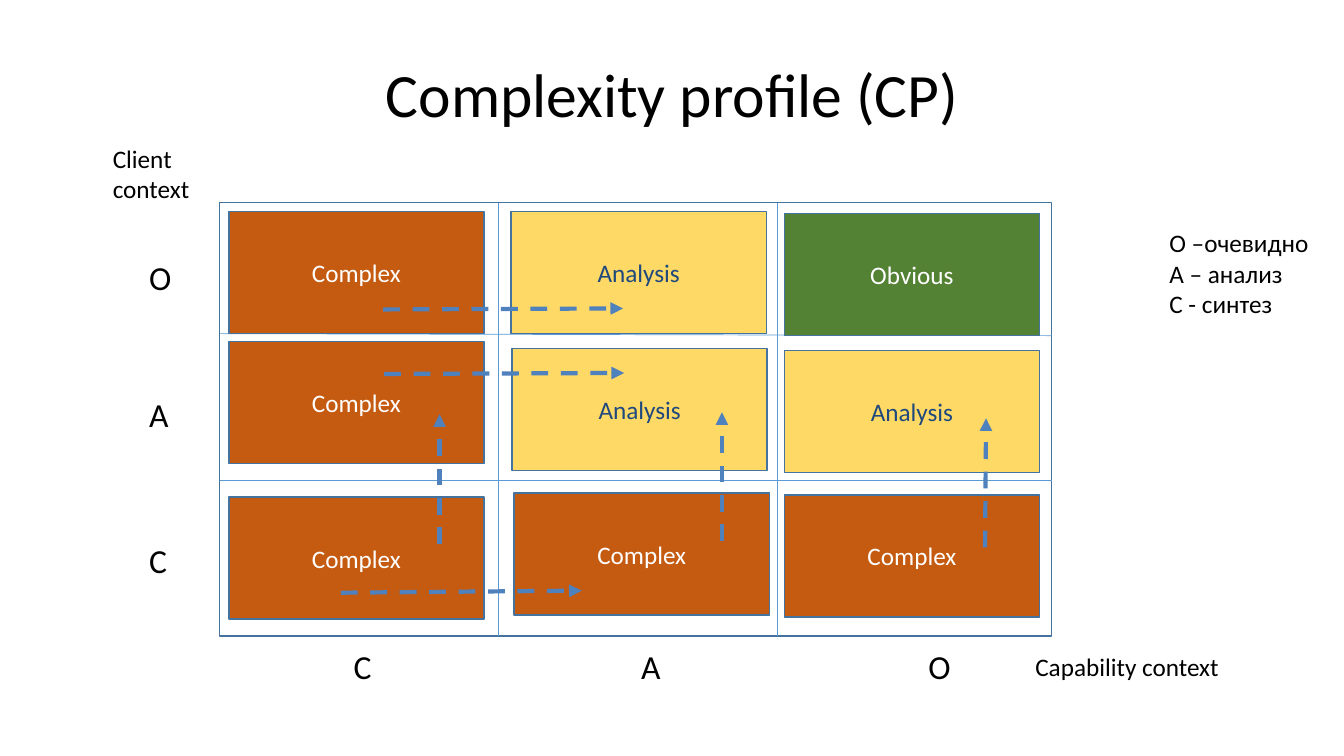
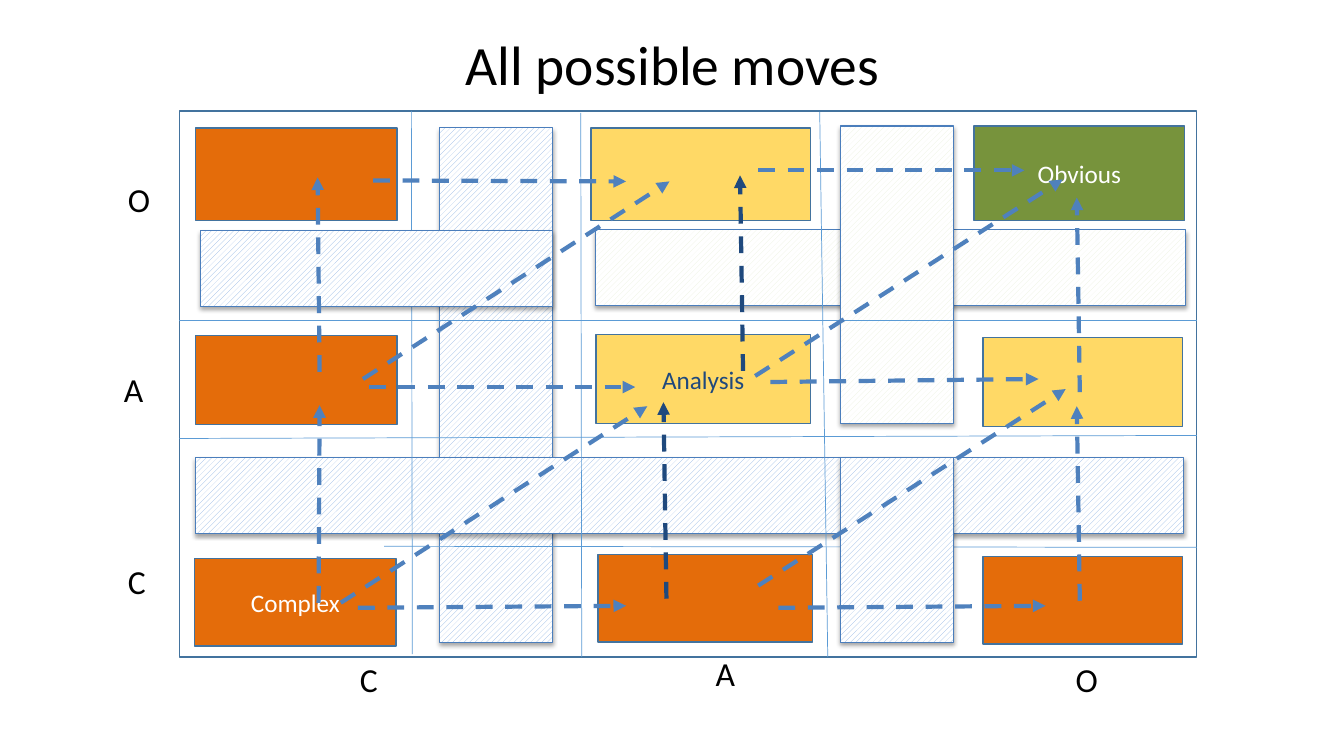
import pptx
import pptx.util
import pptx.dml.color
import pptx.enum.dml
import pptx.enum.shapes
import pptx.enum.text
import pptx.oxml.ns
import lxml.etree

# The slide is a grid of square modules, 133.3 columns by 75 rows.
COLUMNS, ROWS = 133.3, 75
MODULE = pptx.util.Inches(0.1)
FONT = "Calibri"
TITLE_AREA = (6.7, 3, 120, 12.5)

COLORS = {
    "black": "000000", "white": "FFFFFF", "navy": "1F497D",
    "frame": "43739E", "divider": "5B9BD5", "arrow": "4F81BD",
    "band line": "4B7EBC", "blue hatch": "8EB4E3", "pale hatch": "EBF1DE",
    "yellow": "FFD966", "rust": "C55A11", "forest": "548235",
    "orange": "E46C0A", "olive": "77933C",
}
PROFILE_FILLS = {"Complex": "rust", "Analysis": "yellow", "Obvious": "forest"}
MOVES_FILLS = {"Complex": "orange", "Analysis": "yellow", "Obvious": "olive"}
TEXT_COLORS = {"Complex": "white", "Analysis": "navy", "Obvious": "white"}


def rgb(name):
    return pptx.dml.color.RGBColor.from_string(COLORS[name])


def grid(*modules):
    return [int(m * MODULE) for m in modules]


def add_run(p, text, size, color="black"):
    r = p.add_run()
    r.text = text
    r.font.name = FONT
    r.font.size = pptx.util.Pt(size)
    r.font.color.rgb = rgb(color)


def add_slide(prs, title, size=44, raised=False):
    """Add a titled slide; a raised title sits at the top of its area."""
    slide = prs.slides.add_slide(prs.slide_layouts[5])
    sp = slide.shapes.title
    sp.left, sp.top, sp.width, sp.height = grid(*TITLE_AREA)
    tf = sp.text_frame
    tf.auto_size = pptx.enum.text.MSO_AUTO_SIZE.NONE
    anchor = pptx.enum.text.MSO_ANCHOR
    tf.vertical_anchor = anchor.TOP if raised else anchor.MIDDLE
    if raised:
        tf.margin_top = 0
    p = tf.paragraphs[0]
    p.alignment = pptx.enum.text.PP_ALIGN.CENTER
    add_run(p, title, size)
    return slide


def add_label(slide, area, paragraphs, size=24, wrap=False):
    """Add a text box; each paragraph is a list of lines."""
    tf = slide.shapes.add_textbox(*grid(*area)).text_frame
    tf.word_wrap = wrap
    tf.auto_size = pptx.enum.text.MSO_AUTO_SIZE.SHAPE_TO_FIT_TEXT
    for i, lines in enumerate(paragraphs):
        p = tf.add_paragraph() if i else tf.paragraphs[0]
        for j, line in enumerate(lines):
            if j:
                p.add_line_break()
            add_run(p, line, size)


def add_axis_labels(slide, labels):
    for x, y, letter in labels:
        add_label(slide, (x, y, 4, 5), [[letter]])


def add_box(slide, area, line="frame", weight=1):
    """Add an outlined rectangle without fill or shadow."""
    kind = pptx.enum.shapes.MSO_SHAPE.RECTANGLE
    sp = slide.shapes.add_shape(kind, *grid(*area))
    sp.shadow.inherit = False
    sp.fill.background()
    sp.line.color.rgb = rgb(line)
    sp.line.width = pptx.util.Pt(weight)
    return sp


def add_cell(slide, area, kind, fills, labelled=True):
    sp = add_box(slide, area)
    sp.fill.solid()
    sp.fill.fore_color.rgb = rgb(fills[kind])
    if labelled:
        tf = sp.text_frame
        tf.word_wrap = True
        tf.vertical_anchor = pptx.enum.text.MSO_ANCHOR.MIDDLE
        p = tf.paragraphs[0]
        p.alignment = pptx.enum.text.PP_ALIGN.CENTER
        add_run(p, kind, 18, TEXT_COLORS[kind])


def add_band(slide, area, hatch):
    """Add a hatched barrier between cells, with a soft shadow below."""
    sp = add_box(slide, area, "band line", 0.75)
    sp.fill.patterned()
    sp.fill.pattern = pptx.enum.dml.MSO_PATTERN.WIDE_UPWARD_DIAGONAL
    sp.fill.fore_color.rgb = rgb(hatch)
    sp.fill.back_color.rgb = rgb("white")
    qn = pptx.oxml.ns.qn
    effects = sp._element.spPr.find(qn("a:effectLst"))
    shadow = lxml.etree.SubElement(
        effects, qn("a:outerShdw"), blurRad="40000", dist="23000",
        dir="5400000", rotWithShape="0")
    color = lxml.etree.SubElement(shadow, qn("a:srgbClr"), val=COLORS["black"])
    lxml.etree.SubElement(color, qn("a:alpha"), val="35000")


def add_line(slide, ends, color="divider", weight=0.5):
    kind = pptx.enum.shapes.MSO_CONNECTOR.STRAIGHT
    cxn = slide.shapes.add_connector(kind, *grid(*ends))
    cxn.line.color.rgb = rgb(color)
    cxn.line.width = pptx.util.Pt(weight)
    lxml.etree.SubElement(cxn._element.spPr, pptx.oxml.ns.qn("a:effectLst"))
    return cxn


def add_arrow(slide, ends, color="arrow"):
    cxn = add_line(slide, ends, color, 3)
    cxn.line.dash_style = pptx.enum.dml.MSO_LINE.DASH
    ln = cxn.line._get_or_add_ln()
    lxml.etree.SubElement(ln, pptx.oxml.ns.qn("a:tailEnd"), type="triangle")


def build_profile(prs):
    slide = add_slide(prs, "Complexity profile (CP)")
    left, top, width, height = frame = (21.8, 20.1, 82.5, 43)
    right, bottom = left + width, top + height
    add_box(slide, frame)
    for ends in [(left, 47.7, right, 47.7), (left, 33.1, right, 33.3),
                 (49.4, top, 49.4, bottom), (77.1, top, 77.1, bottom)]:
        add_line(slide, ends)

    add_axis_labels(slide, [(13.8, 25, "О"), (13.8, 38.6, "A"), (13.8, 53.1, "C")])
    add_axis_labels(slide, [(34.1 + 28.5 * i, 63.6, letter)
                            for i, letter in enumerate("CAО")])
    add_label(slide, (10.2, 13.7, 9.8, 7.1), [["Client"], ["context"]], 18)
    add_label(slide, (101.7, 64.1, 22.9, 4), [["Capability context"]], 18, True)
    add_label(slide, (115, 22.1, 16, 10.1),
              [["O –очевидно", "А – анализ", "С - синтез"]], 18)

    for x, y, kind in [
            (22.7, 21, "Complex"), (50.7, 21, "Analysis"), (77.8, 21.2, "Obvious"),
            (22.7, 33.9, "Complex"), (50.8, 34.6, "Analysis"), (77.8, 34.8, "Analysis"),
            (22.7, 49.3, "Complex"), (51, 48.9, "Complex"), (77.8, 49.1, "Complex")]:
        add_cell(slide, (x, y, 25.3, 12.1), kind, PROFILE_FILLS)

    for ends in [(43.6, 54, 43.6, 41.1), (71.6, 53.7, 71.6, 40.9),
                 (97.7, 54.3, 97.8, 41.5), (38, 30.7, 61.8, 30.6),
                 (38.1, 37.1, 61.9, 37), (33.8, 58.8, 57.7, 58.6)]:
        add_arrow(slide, ends)


def build_moves(prs):
    slide = add_slide(prs, "All possible moves", 39.6, raised=True)
    for area, hatch in [((59.1, 22.8, 58.5, 7.5), "pale hatch"),
                        ((83.4, 12.5, 11.2, 29.5), "pale hatch"),
                        ((43.6, 12.7, 11.2, 51), "blue hatch"),
                        ((19.4, 45.4, 98, 7.5), "blue hatch")]:
        add_band(slide, area, hatch)

    left, top, width, height = frame = (17.8, 11, 100.9, 54.2)
    right, bottom = left + width, top + height
    add_box(slide, frame)
    for ends in [(left, 43.5, right, 43.2), (left, 31.8, right, 31.8),
                 (38.1, 54.2, right, 54.3), (57.6, 11.2, 57.7, bottom),
                 (81.3, 11.1, 82.1, bottom), (40.8, top, 40.9, 64.9)]:
        add_line(slide, ends)

    add_axis_labels(slide, [
        (11.7, 17.3, "O"), (11.3, 36.1, "A"), (11.7, 55.2, "C"),
        (34.7, 64.9, "C"), (70, 64.3, "A"), (105.7, 64.9, "O")])

    for area, kind, labelled in [
            ((19.4, 12.7, 20, 9.2), "Complex", False),
            ((58.6, 12.7, 21.8, 9.2), "Analysis", False),
            ((96.6, 12.5, 20.9, 9.4), "Obvious", True),
            ((19.4, 33.3, 20, 8.8), "Complex", False),
            ((59.1, 33.2, 21.3, 8.8), "Analysis", True),
            ((97.5, 33.5, 19.8, 8.8), "Analysis", False),
            ((19.3, 55.4, 20, 8.7), "Complex", True),
            ((59.3, 55, 21.3, 8.7), "Complex", False),
            ((97.5, 55.2, 19.8, 8.7), "Complex", False)]:
        add_cell(slide, area, kind, MOVES_FILLS, labelled)

    for area in [(83.4, 45.4, 11.2, 18.3), (19.9, 22.9, 34.9, 7.5)]:
        add_band(slide, area, "blue hatch")

    across = [(37, 17.9, 62.1, 18), (75.2, 16.9, 101.6, 16.9),
              (36.6, 38.4, 63, 38.4), (76.4, 37.9, 103, 37.6),
              (35.5, 60.3, 62.1, 60.1), (77.2, 60.3, 103.7, 60.1)]
    up = [(31.6, 59.8, 31.7, 40.2), (31.7, 36.9, 31.5, 17.6),
          (107.1, 59.6, 106.8, 40.3), (107.1, 38.9, 106.8, 19.6)]
    diagonal = [(33.8, 59.8, 64.2, 40.3), (36, 37.6, 66.4, 18),
                (75.2, 58.1, 105.7, 38.6), (74.9, 37.3, 105.4, 17.8)]
    for ends in across + up + diagonal:
        add_arrow(slide, ends)
    for ends in [(66.1, 59.4, 65.8, 39.9), (73.7, 36.8, 73.4, 17.4)]:
        add_arrow(slide, ends, "navy")


def main():
    prs = pptx.Presentation()
    prs.slide_width, prs.slide_height = grid(COLUMNS, ROWS)
    build_profile(prs)
    build_moves(prs)
    prs.save("out.pptx")


if __name__ == "__main__":
    main()
